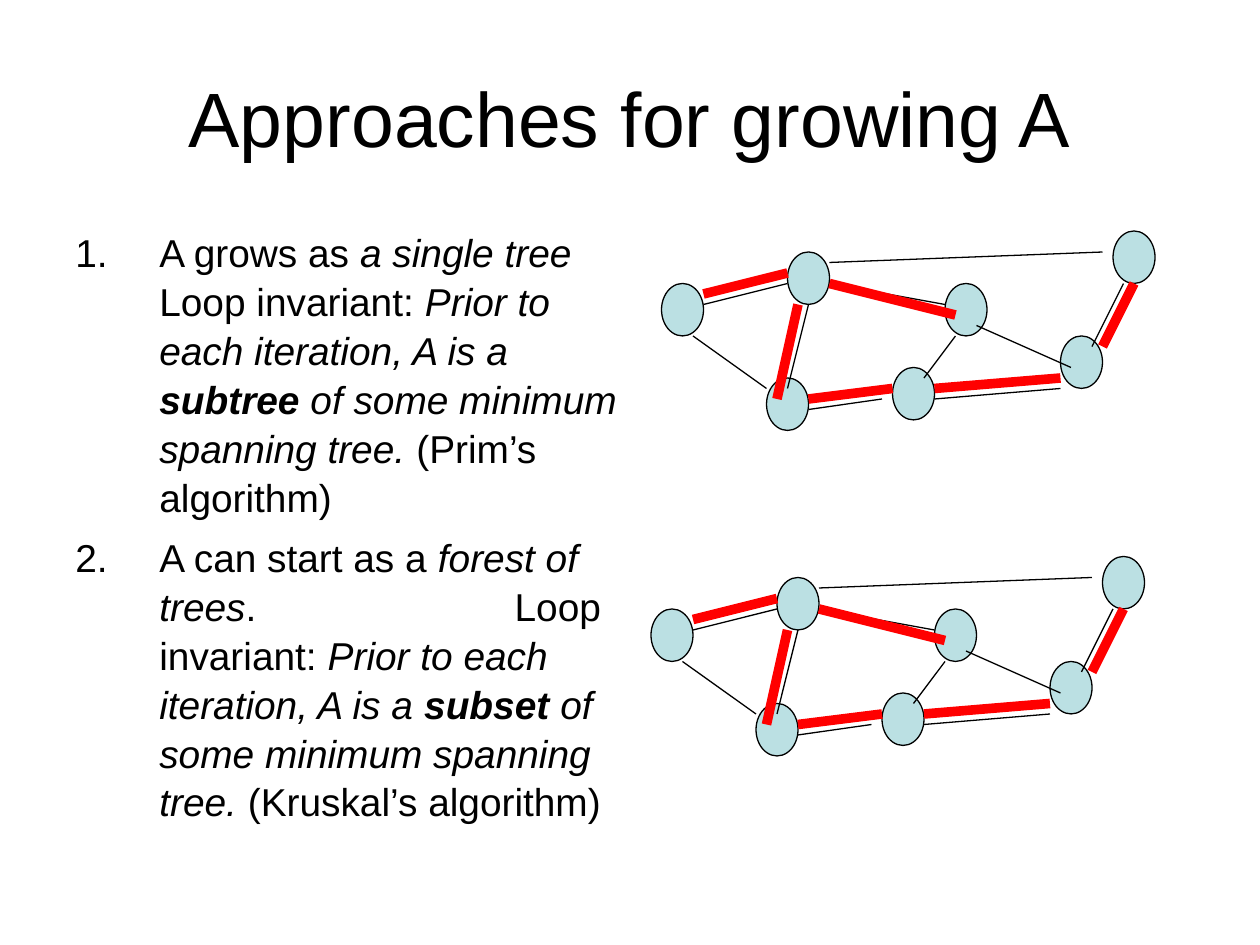
from dataclasses import dataclass
from typing import NamedTuple

from lxml import etree
from pptx import Presentation
from pptx.dml.color import RGBColor
from pptx.enum.shapes import MSO_CONNECTOR, MSO_SHAPE
from pptx.enum.text import MSO_ANCHOR, PP_ALIGN
from pptx.oxml.ns import qn
from pptx.util import Pt

STRAIGHT = MSO_CONNECTOR.STRAIGHT
OVAL = MSO_SHAPE.OVAL
MIDDLE, TOP = MSO_ANCHOR.MIDDLE, MSO_ANCHOR.TOP
CENTER, LEFT = PP_ALIGN.CENTER, PP_ALIGN.LEFT


@dataclass(frozen=True)
class Theme:
    font: str = "Arial"
    title_size: float = 44
    body_size: float = 22.2
    ink: RGBColor = RGBColor(0x00, 0x00, 0x00)
    node_fill: RGBColor = RGBColor(0xBB, 0xE0, 0xE3)
    tree: RGBColor = RGBColor(0xFF, 0x00, 0x00)
    thin: float = 0.75
    thick: float = 5.5


class Edge(NamedTuple):
    x1: int
    y1: int
    x2: int
    y2: int


class Phrase(NamedTuple):
    text: str
    italic: bool = False
    bold: bool = False


THEME = Theme()
GRID = 6  # points per graph unit
NODE_WIDTH, NODE_HEIGHT = 4, 5
HANGING_INDENT = 48
LOOP_TAB = 251

# Graph parts in grid units from the graph's top-left corner
NODES = [(0, 5), (12, 2), (10, 14), (27, 5), (22, 13), (43, 0), (38, 10)]
GRAPH_EDGES = [
    Edge(4, 7, 12, 5), Edge(3, 10, 10, 15), Edge(14, 7, 12, 15),
    Edge(16, 5, 27, 7), Edge(14, 17, 21, 16), Edge(28, 10, 25, 14),
    Edge(16, 3, 42, 2), Edge(30, 9, 39, 13), Edge(44, 5, 41, 11),
    Edge(26, 16, 38, 15),
]
TREE_EDGES = [
    Edge(4, 6, 12, 4), Edge(13, 7, 11, 16), Edge(14, 16, 22, 15),
    Edge(16, 5, 28, 8), Edge(26, 15, 38, 14), Edge(42, 11, 45, 5),
]
GRAPH_ORIGINS = [(378, 132), (372, 318)]

APPROACHES = [
    [
        Phrase("A grows as "),
        Phrase("a single tree", italic=True),
        Phrase(" Loop invariant: "),
        Phrase("Prior to each iteration, A is a ", italic=True),
        Phrase("subtree ", italic=True, bold=True),
        Phrase("of some minimum spanning tree.", italic=True),
        Phrase(" (Prim’s algorithm)"),
    ],
    [
        Phrase("A can start as a "),
        Phrase("forest of trees", italic=True),
        Phrase(".\tLoop invariant: "),
        Phrase("Prior to each iteration, A is a ", italic=True),
        Phrase("subset ", italic=True, bold=True),
        Phrase("of some minimum spanning tree. ", italic=True),
        Phrase("(Kruskal’s algorithm)"),
    ],
]


def apply_format(target, values: dict) -> None:
    for attribute, value in values.items():
        setattr(target, attribute, value)


def format_font(font, size: float, **extra) -> None:
    apply_format(font, {"name": THEME.font, "size": Pt(size), **extra})
    font.color.rgb = THEME.ink


def set_line(line, color: RGBColor, width: float) -> None:
    line.color.rgb = color
    line.width = Pt(width)


def number_paragraph(paragraph) -> None:
    """Give the paragraph an automatic number, hanging indent and tab stop."""
    properties = paragraph._p.get_or_add_pPr()
    properties.set("marL", str(Pt(HANGING_INDENT)))
    properties.set("indent", str(-Pt(HANGING_INDENT)))
    etree.SubElement(properties, qn("a:buAutoNum"), type="arabicPeriod")
    tabs = etree.SubElement(properties, qn("a:tabLst"))
    etree.SubElement(tabs, qn("a:tab"), pos=str(Pt(LOOP_TAB)), algn="l")


def add_title(slide, text: str) -> None:
    title = slide.shapes.title
    apply_format(title, {"left": Pt(36), "top": Pt(21.6),
                         "width": Pt(648), "height": Pt(90)})
    title.text_frame.text = text
    title.text_frame.vertical_anchor = MIDDLE
    paragraph = title.text_frame.paragraphs[0]
    paragraph.alignment = CENTER
    format_font(paragraph.runs[0].font, THEME.title_size)


def add_approaches(slide) -> None:
    frame = slide.shapes.add_textbox(Pt(36), Pt(126), Pt(324), Pt(356.4)).text_frame
    apply_format(frame, {"word_wrap": True, "vertical_anchor": TOP})
    for index, phrases in enumerate(APPROACHES):
        paragraph = frame.add_paragraph() if index else frame.paragraphs[0]
        apply_format(paragraph, {"alignment": LEFT, "space_before": Pt(6),
                                 "line_spacing": 1.05})
        number_paragraph(paragraph)
        for phrase in phrases:
            run = paragraph.add_run()
            run.text = phrase.text
            format_font(run.font, THEME.body_size,
                        italic=phrase.italic, bold=phrase.bold)


def add_node(slide, left: float, top: float) -> None:
    node = slide.shapes.add_shape(OVAL, Pt(left), Pt(top),
                                  Pt(NODE_WIDTH * GRID), Pt(NODE_HEIGHT * GRID))
    node.shadow.inherit = False
    node.fill.solid()
    node.fill.fore_color.rgb = THEME.node_fill
    set_line(node.line, THEME.ink, THEME.thin)


def add_edge(slide, left: float, top: float, edge: Edge,
             color: RGBColor, width: float) -> None:
    connector = slide.shapes.add_connector(
        STRAIGHT,
        Pt(left + edge.x1 * GRID), Pt(top + edge.y1 * GRID),
        Pt(left + edge.x2 * GRID), Pt(top + edge.y2 * GRID))
    set_line(connector.line, color, width)
    etree.SubElement(connector._element.spPr, qn("a:effectLst"))


def add_graph(slide, left: float, top: float) -> None:
    for x, y in NODES:
        add_node(slide, left + x * GRID, top + y * GRID)
    for edge in GRAPH_EDGES:
        add_edge(slide, left, top, edge, THEME.ink, THEME.thin)
    for edge in TREE_EDGES:
        add_edge(slide, left, top, edge, THEME.tree, THEME.thick)


def main() -> None:
    deck = Presentation()
    apply_format(deck, {"slide_width": Pt(720), "slide_height": Pt(540)})
    slide = deck.slides.add_slide(deck.slide_layouts.get_by_name("Title Only"))
    add_title(slide, "Approaches for growing A")
    add_approaches(slide)
    for left, top in GRAPH_ORIGINS:
        add_graph(slide, left, top)
    deck.save("out.pptx")


if __name__ == "__main__":
    main()
